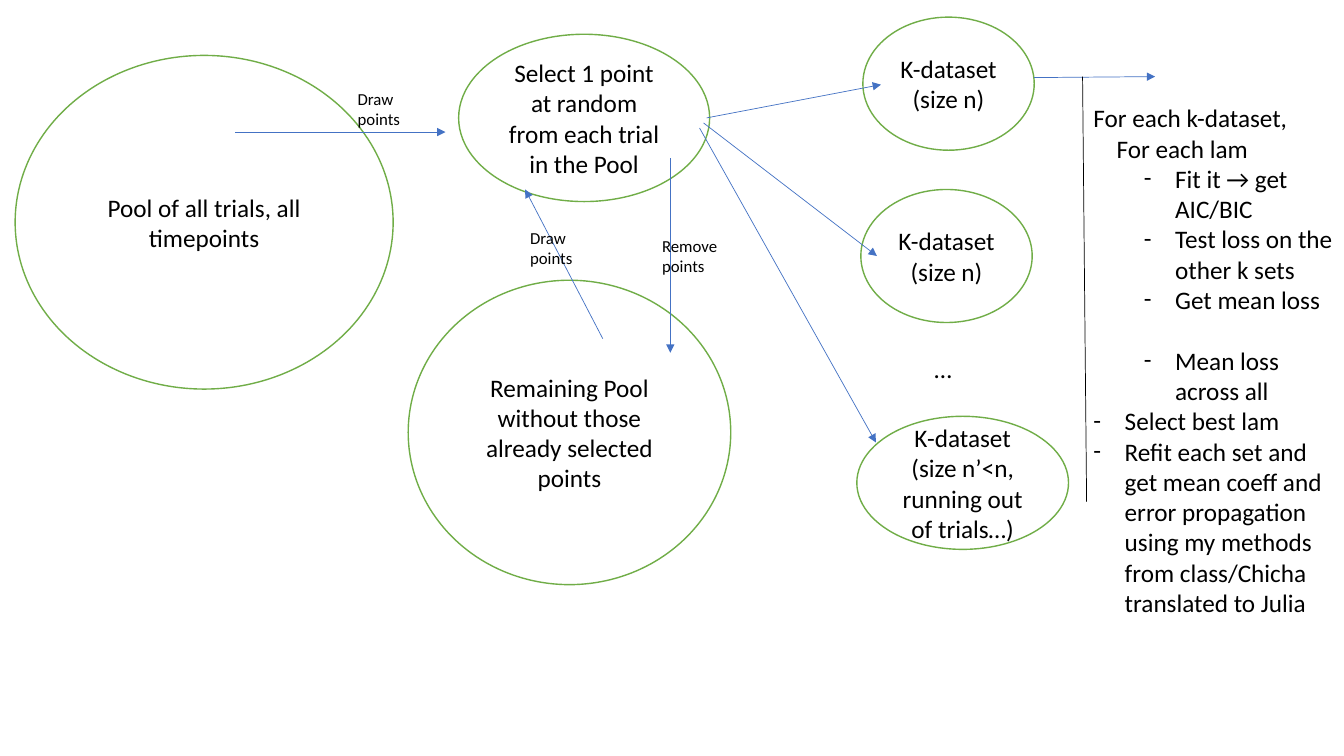
from lxml import etree
from pptx import Presentation
from pptx.dml.color import RGBColor
from pptx.enum.shapes import MSO_CONNECTOR, MSO_SHAPE
from pptx.enum.text import MSO_ANCHOR, PP_ALIGN
from pptx.oxml.ns import qn
from pptx.util import Inches, Pt

STRAIGHT = MSO_CONNECTOR.STRAIGHT
ELLIPSE = MSO_SHAPE.OVAL
MIDDLE = MSO_ANCHOR.MIDDLE
CENTER = PP_ALIGN.CENTER
LEFT = PP_ALIGN.LEFT

WHITE = RGBColor(0xFF, 0xFF, 0xFF)
BLACK = RGBColor(0x00, 0x00, 0x00)
GREEN = RGBColor(0x70, 0xAD, 0x47)
BLUE = RGBColor(0x44, 0x72, 0xC4)

COLUMNS, ROWS = 40, 22.5


class FlowPage:
    font = "Calibri"
    body_size = 18
    label_size = 12
    hanging = 0.31

    def __init__(self, deck):
        self.column = deck.slide_width / COLUMNS
        self.row = deck.slide_height / ROWS
        self.page = deck.slides.add_slide(deck.slide_layouts[6])

    def place(self, *lengths):
        units = (self.column, self.row) * 2
        return [round(length * unit) for length, unit in zip(lengths, units)]

    def add_span(self, para, text, size, align=LEFT):
        para.alignment = align
        span = para.add_run()
        span.text = text
        span.font.name = self.font
        span.font.size = Pt(size)
        span.font.color.rgb = BLACK

    def paragraphs(self, frame, count):
        return [frame.paragraphs[0]] + [frame.add_paragraph() for _ in range(count - 1)]

    def ellipse(self, area, *lines):
        shape = self.page.shapes.add_shape(ELLIPSE, *self.place(*area))
        shape.shadow.inherit = False
        shape.fill.solid()
        shape.fill.fore_color.rgb = WHITE
        shape.line.color.rgb = GREEN
        shape.line.width = Pt(1)
        frame = shape.text_frame
        frame.word_wrap = True
        frame.vertical_anchor = MIDDLE
        for para, text in zip(self.paragraphs(frame, len(lines)), lines):
            self.add_span(para, text, self.body_size, CENTER)

    def text_box(self, area, wrap=True):
        frame = self.page.shapes.add_textbox(*self.place(*area)).text_frame
        frame.word_wrap = wrap
        return frame

    def label(self, left, top, text):
        frame = self.text_box((left, top, 2.67, 1.5))
        self.add_span(frame.paragraphs[0], text, self.label_size)

    def line(self, start, end, color=BLUE, arrow=True):
        connector = self.page.shapes.add_connector(STRAIGHT, *self.place(*start, *end))
        connector.line.color.rgb = color
        connector.line.width = Pt(0.5)
        if arrow:
            outline = connector.line._get_or_add_ln()
            etree.SubElement(outline, qn("a:tailEnd"), type="triangle")
        etree.SubElement(connector._element.spPr, qn("a:effectLst"))

    def steps(self, area, items):
        frame = self.text_box(area)
        for para, (text, margin, dashed, gap) in zip(self.paragraphs(frame, len(items)), items):
            self.add_span(para, text, self.body_size)
            para.space_before = Pt(gap)
            properties = para._p.get_or_add_pPr()
            properties.set("marL", str(Inches(margin)))
            if dashed:
                properties.set("indent", str(-Inches(self.hanging)))
                etree.SubElement(properties, qn("a:buFont"), typeface=self.font)
                etree.SubElement(properties, qn("a:buChar"), char="-")


def main():
    deck = Presentation()
    deck.slide_width = Inches(13.33)
    deck.slide_height = Inches(7.5)
    flow = FlowPage(deck)

    flow.ellipse((0.45, 1.65, 11.25, 9.93), "Pool of all trials, all timepoints")
    flow.ellipse((13.65, 1.02, 7.47, 4.98), "Select 1 point at random from each trial in the Pool")
    flow.ellipse((12.15, 8.34, 9.6, 9.06), "Remaining Pool without those already selected points")
    for left, top, width, size in (
        (25.68, 0.51, 5.1, "(size n)"),
        (25.62, 5.64, 5.1, "(size n)"),
        (25.5, 12.39, 6.3, "(size n’<n, running out of trials…)"),
    ):
        flow.ellipse((left, top, width, 3.96), "K-dataset", size)

    ellipsis = flow.text_box((27.51, 10.38, 1.14, 1.2), wrap=False)
    flow.add_span(ellipsis.paragraphs[0], "…", flow.body_size)

    for start, end in (
        ((7, 3.93), (13.26, 3.93)),
        ((19.95, 4.71), (19.95, 10.5)),
        ((17.94, 10.08), (15.63, 5.64)),
        ((21.03, 3.51), (26.22, 2.52)),
        ((20.94, 3.66), (26.1, 7.62)),
        ((20.82, 3.81), (26.07, 13.17)),
        ((30.78, 2.31), (34.38, 2.28)),
    ):
        flow.line(start, end)
    flow.line((32.22, 2.28), (32.34, 14.94), BLACK, arrow=False)

    flow.label(19.41, 6.87, "Remove points")
    flow.label(15.48, 6.63, "Draw points")
    flow.label(10.35, 2.49, "Draw points")

    inner, outer = 0.81, 0.31
    flow.steps((32.25, 2.91, 8.01, 16.65), (
        ("For each k-dataset,", 0, False, 0),
        ("For each lam", 0.23, False, 0),
        ("Fit it → get AIC/BIC", inner, True, 0),
        ("Test loss on the other k sets", inner, True, 0),
        ("Get mean loss", inner, True, 0),
        ("Mean loss across all", inner, True, 22),
        ("Select best lam", outer, True, 0),
        ("Refit each set and get mean coeff and error propagation using my methods "
         "from class/Chicha translated to Julia", outer, True, 0),
    ))
    deck.save("out.pptx")


if __name__ == "__main__":
    main()
